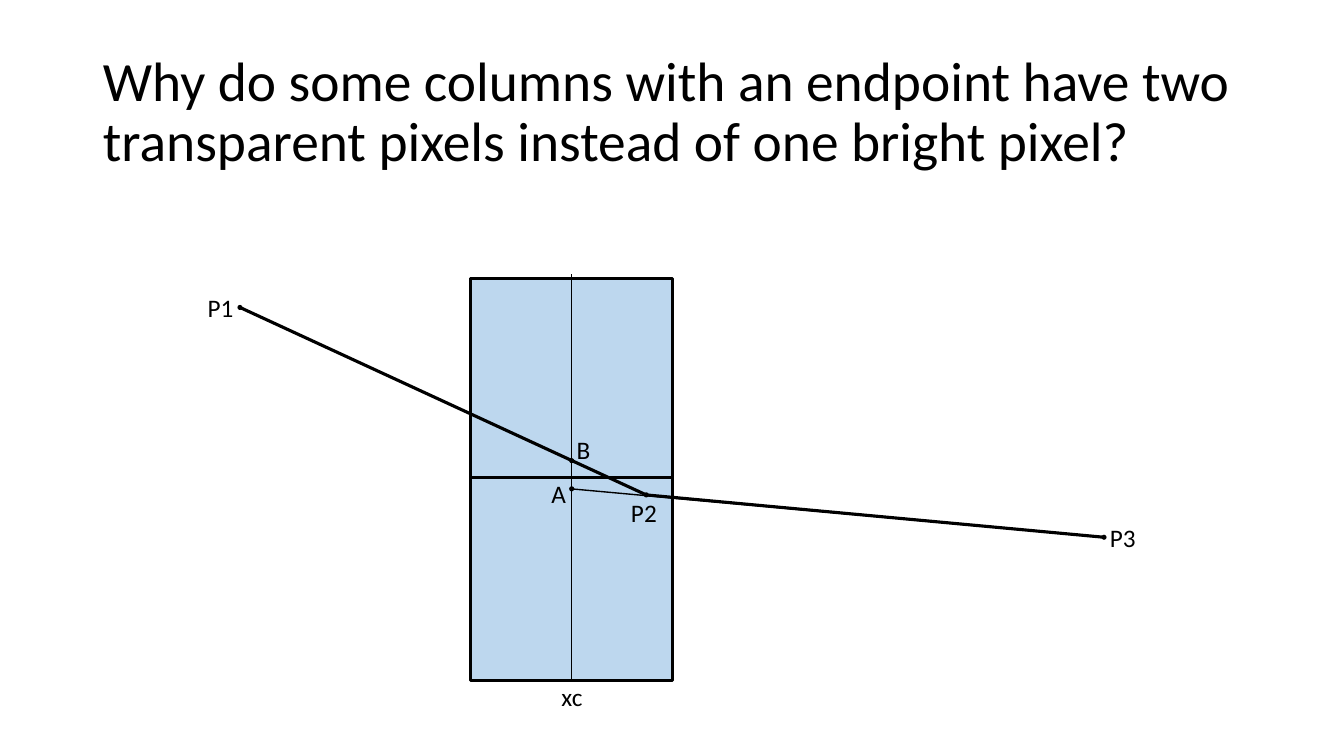
import pptx
import pptx.dml.color
import pptx.enum.shapes
import pptx.enum.text
import pptx.oxml
import pptx.oxml.ns
import pptx.util

BLACK = pptx.dml.color.RGBColor(0x00, 0x00, 0x00)
PIXEL_BLUE = pptx.dml.color.RGBColor(0xBD, 0xD7, 0xEE)
FONT = "Calibri"
SLIDE_SIZE = (13.33, 7.5)
TITLE_BOX = (0.92, 0.4, 11.5, 1.45)
DIAGRAM_BOX = (1.67, 2.75, 10, 4)
GRID = (10, 4)
CENTER = 4
THICK, THIN = 2.25, 1
DOT = 0.05
LABEL_SIZE = (0.48, 0.4)

POINTS = {
    "P1": (0.71, 0.3),
    "P2": (4.74, 2.16),
    "P3": (9.28, 2.58),
    "A": (CENTER, 2.1),
    "B": (CENTER, 1.82),
    "xc": (CENTER, 4),
}
LABEL_OFFSETS = {
    "P1": (-0.42, -0.2),
    "P2": (-0.25, -0.03),
    "P3": (-0.04, -0.2),
    "A": (-0.3, -0.15),
    "B": (-0.05, -0.31),
    "xc": (-0.2, -0.04),
}
SEGMENTS = [("P1", "P2", THICK), ("P2", "P3", THICK), ("A", "P3", THIN)]
PIXEL_ROWS = [0.01, 1.99, 4]


def inches(*values):
    """Convert plain numbers to lengths in inches."""
    return [pptx.util.Inches(value) for value in values]


def add_span(para, text, size):
    """Add one black run to a paragraph."""
    span = para.add_run()
    span.text = text
    span.font.name = FONT
    span.font.size = pptx.util.Pt(size)
    span.font.color.rgb = BLACK


def add_title(slide, box, text):
    """Place and format the title placeholder."""
    title = slide.shapes.title
    title.left, title.top, title.width, title.height = inches(*box)
    frame = title.text_frame
    frame.word_wrap = True
    frame.auto_size = pptx.enum.text.MSO_AUTO_SIZE.NONE
    frame.vertical_anchor = pptx.enum.text.MSO_ANCHOR.MIDDLE
    para = frame.paragraphs[0]
    para.alignment = pptx.enum.text.PP_ALIGN.LEFT
    para.line_spacing = 0.9
    add_span(para, text, 39.6)


def add_solid(slide, kind, box, fill):
    """Add a filled preset shape without shadow or outline."""
    shape = slide.shapes.add_shape(kind, *inches(*box))
    shape.shadow.inherit = False
    shape.fill.solid()
    shape.fill.fore_color.rgb = fill
    shape.line.fill.background()
    return shape


def add_line(slide, start, end, weight):
    """Add a straight black line between two places."""
    line = slide.shapes.add_connector(
        pptx.enum.shapes.MSO_CONNECTOR.STRAIGHT, *inches(*start, *end))
    line.line.color.rgb = BLACK
    line.line.width = pptx.util.Pt(weight)
    properties = line._element.find(pptx.oxml.ns.qn("p:spPr"))
    properties.append(pptx.oxml.parse_xml(
        f"<a:effectLst {pptx.oxml.ns.nsdecls('a')}/>"))
    return line


def add_label(slide, place, text):
    """Add a small text box naming a point."""
    box = slide.shapes.add_textbox(*inches(*place, *LABEL_SIZE))
    box.text_frame.word_wrap = True
    add_span(box.text_frame.paragraphs[0], text, 18)


def add_diagram(slide, box):
    """Draw the pixel column, the line segments and their points."""
    left, top, width, height = box
    shapes = pptx.enum.shapes.MSO_SHAPE

    def at(column, row):
        """Turn a grid place into a slide place."""
        return left + column * width / GRID[0], top + row * height / GRID[1]

    for upper, lower in zip(PIXEL_ROWS, PIXEL_ROWS[1:]):
        x, y = at(CENTER - 1, upper)
        right, bottom = at(CENTER + 1, lower)
        pixel = add_solid(slide, shapes.RECTANGLE,
                          (x, y, right - x, bottom - y), PIXEL_BLUE)
        pixel.line.color.rgb = BLACK
        pixel.line.width = pptx.util.Pt(THICK)

    for start, end, weight in SEGMENTS:
        add_line(slide, at(*POINTS[start]), at(*POINTS[end]), weight)

    for name in ("P2", "P3", "A", "P1", "B"):
        x, y = at(*POINTS[name])
        add_solid(slide, shapes.OVAL,
                  (x - DOT / 2, y - DOT / 2, DOT, DOT), BLACK)

    axis = add_line(slide, at(CENTER, -0.03), at(*POINTS["xc"]), THIN)
    axis.end_connect(pixel, 2)

    for name, (shift_x, shift_y) in LABEL_OFFSETS.items():
        x, y = at(*POINTS[name])
        add_label(slide, (x + shift_x, y + shift_y), name)


def main():
    """Build the deck and save it."""
    deck = pptx.Presentation()
    deck.slide_width, deck.slide_height = inches(*SLIDE_SIZE)
    slide = deck.slides.add_slide(deck.slide_layouts[5])
    add_title(slide, TITLE_BOX,
              "Why do some columns with an endpoint have two "
              "transparent pixels instead of one bright pixel?")
    add_diagram(slide, DIAGRAM_BOX)
    deck.save("out.pptx")


if __name__ == "__main__":
    main()
